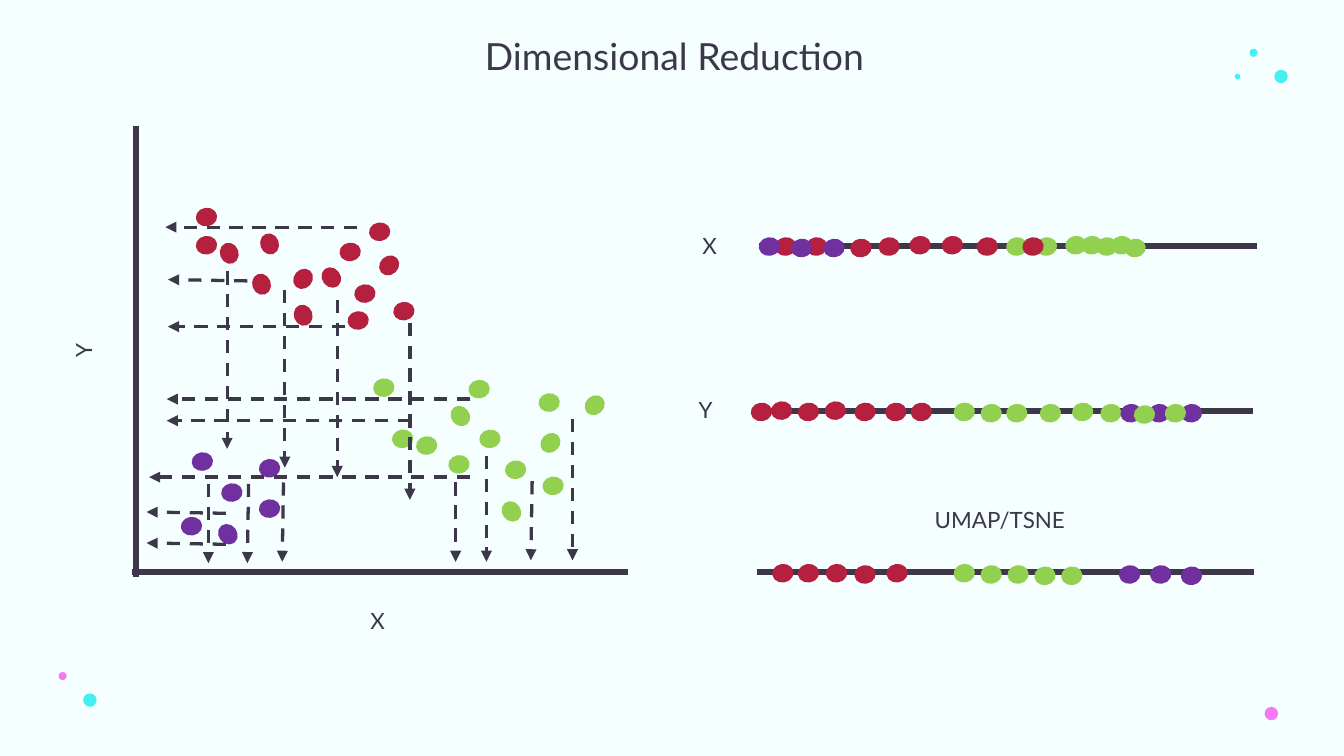
from dataclasses import dataclass

from lxml import etree
from pptx import Presentation
from pptx.dml.color import RGBColor
from pptx.enum.dml import MSO_LINE_DASH_STYLE as Dash
from pptx.enum.shapes import MSO_CONNECTOR, MSO_SHAPE
from pptx.enum.text import MSO_ANCHOR, MSO_AUTO_SIZE, PP_ALIGN
from pptx.oxml.ns import qn
from pptx.util import Pt


@dataclass(frozen=True)
class Theme:
    background: str = "F5FFFF"
    ink: str = "3C384A"
    red: str = "B5203F"
    green: str = "92D050"
    purple: str = "7030A0"
    cyan: str = "46EFF2"
    pink: str = "F578F8"
    font: str = "Lato"
    title_size: float = 20
    label_size: float = 12
    axis_width: float = 3.25
    arrow_width: float = 1.75
    dot_width: float = 7.9
    dot_height: float = 9.4
    dot_outline: float = 2
    dot_tilt: float = 82


THEME = Theme()

# Decoration: centre x, centre y, diameter, colour
CONFETTI = [
    (48.2, 375.1, 7.2, THEME.cyan), (33.6, 362.2, 4.3, THEME.pink),
    (681.1, 382.3, 7.2, THEME.pink), (686.3, 41, 7.2, THEME.cyan),
    (671.6, 28.3, 4.3, THEME.cyan), (663, 41, 2.9, THEME.cyan),
]

# Clusters: centre x, centre y from the top of the Y axis, optional tilt
CLUSTERS = {
    THEME.purple: [
        (71.7, 183.2), (35.7, 179.6), (71.7, 204.8), (51.5, 196.2),
        (49.4, 218.5, 143), (29.9, 214.2),
    ],
    THEME.red: [
        (50.1, 68, 340.1), (71.7, 63, 340.1), (67.4, 84.6, 340.1),
        (89.7, 81.7, 41.1), (89.7, 101.2, 340.1), (130.7, 56.5),
        (37.9, 48.6), (114.9, 67.3), (37.9, 63.7), (135.8, 74.5, 227.5),
        (143.7, 99, 261.6), (122.8, 89.6, 261.6), (119.2, 104, 261.6),
        (104.8, 81, 322.6),
    ],
    THEME.green: [
        (221.5, 148), (143, 167.4), (223.6, 192.6), (203.5, 184),
        (201.3, 206.3, 143), (132.9, 140), (222.2, 169.6, 227.5),
        (245.9, 149.4, 227.5), (155.9, 171, 261.6), (189.8, 167.4, 261.6),
        (173.2, 181.1, 261.6), (173.9, 155.2, 322.6), (184, 140.8, 261.6),
    ],
}

# Projections: start x, start y, end x, end y
ONTO_X = [
    (49, 77.7, 49, 172.8), (79.9, 87.8, 79.9, 182.9),
    (108, 92.9, 108, 187.9), (146.9, 105.1, 146.9, 200.1),
    (79.2, 190.8, 78.5, 233.3), (60.5, 191.5, 59.8, 234),
    (38.9, 191.5, 38.9, 234), (171.4, 190.8, 171.4, 233.3),
    (212.4, 190.1, 211.7, 232.5), (187.9, 176.4, 187.9, 233.3),
    (234, 156.9, 234, 232.5),
]
ONTO_Y = [
    (112.3, 107.3, 17.3, 107.3), (179.3, 146.1, 16.6, 146.1),
    (147.6, 157.7, 16.6, 157.7), (59.8, 82.8, 17.3, 82.1),
    (118.8, 54, 15.9, 54), (48.3, 223.9, 5.8, 223.2),
    (48.3, 207.3, 5.8, 206.6), (179.3, 187.9, 7.2, 187.9),
]

# Number lines: runs of (colour, dots), a dot being its distance along and below
X_RUNS = [
    (THEME.red, [(14.1, .3), (30.6, .3), (86.1, -.4), (103.4, -.4), (122.1, .3)]),
    (THEME.green, [(137.9, .3), (153.8, .3), (169.6, -.4), (186.2, .3), (201.3, 1.1)]),
    (THEME.purple, [(5.4, .3), (22.7, 1.1), (40, 1.1)]),
    (THEME.red, [(146.6, .3), (69.5, .3), (54.4, 1.1)]),
    (THEME.green, [(178.2, -.4), (194.1, -.4)]),
]
Y_RUNS = [
    (THEME.red, [(13.3, -.3), (27.7, .4), (42.1, -.3), (58, .4), (74.5, .4)]),
    (THEME.green, [(111.2, .4), (125.6, 1.1), (139.3, 1.1), (157.3, 1.1), (189.7, 1.1)]),
    (THEME.purple, [(200.5, 1.1), (215.6, 1.1), (232.9, 1.1)]),
    (THEME.green, [(207.7, 1.8), (174.6, .4), (224.3, 1.1)]),
    (THEME.red, [(88.2, .4), (2.5, .4)]),
]
UMAP_RUNS = [
    (THEME.red, [(14, .4), (27.7, .4), (42.8, .4), (58, 1.1), (75.2, .4)]),
    (THEME.green, [(111.2, .4), (125.6, 1.1), (140, 1.1), (154.4, 1.8), (168.8, 1.8)]),
    (THEME.purple, [(199.8, 1.1), (216.4, 1.1), (232.9, 1.8)]),
]


def add_ellipse(slide, x, y, width, height, color):
    """Draw a plain ellipse centred on x, y."""
    ellipse = slide.shapes.add_shape(
        MSO_SHAPE.OVAL, Pt(x - width / 2), Pt(y - height / 2), Pt(width), Pt(height))
    ellipse.shadow.inherit = False
    ellipse.fill.solid()
    ellipse.fill.fore_color.rgb = RGBColor.from_string(color)
    ellipse.line.fill.background()
    return ellipse


def add_dot(slide, x, y, color, tilt=THEME.dot_tilt):
    dot = add_ellipse(slide, x, y, THEME.dot_width, THEME.dot_height, color)
    dot.line.color.rgb = RGBColor.from_string(color)
    dot.line.width = Pt(THEME.dot_outline)
    dot.rotation = tilt


def add_line(slide, x1, y1, x2, y2, width=THEME.axis_width):
    line = slide.shapes.add_connector(
        MSO_CONNECTOR.STRAIGHT, Pt(x1), Pt(y1), Pt(x2), Pt(y2))
    line.line.color.rgb = RGBColor.from_string(THEME.ink)
    line.line.width = Pt(width)
    etree.SubElement(line._element.spPr, qn("a:effectLst"))
    return line


def add_arrow(slide, x1, y1, x2, y2):
    arrow = add_line(slide, x1, y1, x2, y2, THEME.arrow_width)
    arrow.line.dash_style = Dash.DASH
    etree.SubElement(arrow.line._get_or_add_ln(), qn("a:tailEnd"), type="triangle")


def add_label(slide, text, x, y, width=90.7, height=21.6, size=THEME.label_size, turn=0):
    """Write one line of text centred on x, y."""
    label = slide.shapes.add_textbox(
        Pt(x - width / 2), Pt(y - height / 2), Pt(width), Pt(height))
    label.rotation = turn
    frame = label.text_frame
    frame.word_wrap = True
    frame.auto_size = MSO_AUTO_SIZE.SHAPE_TO_FIT_TEXT
    frame.vertical_anchor = MSO_ANCHOR.TOP
    paragraph = frame.paragraphs[0]
    paragraph.alignment = PP_ALIGN.CENTER
    run = paragraph.add_run()
    run.text = text
    run.font.name = THEME.font
    run.font.size = Pt(size)
    run.font.color.rgb = RGBColor.from_string(THEME.ink)


def add_scatter(slide, left, top, width, height):
    """Draw the two axes, the clusters and their projections."""
    bottom = top + height
    add_line(slide, left, top, left, bottom + 2.2)
    add_line(slide, left - 2.2, bottom, left + width, bottom)
    for color, dots in CLUSTERS.items():
        for x, y, *tilt in dots:
            add_dot(slide, left + x, top + y, color, *tilt)
    for x1, y1, x2, y2 in ONTO_X + ONTO_Y:
        add_arrow(slide, left + x1, top + y1, left + x2, top + y2)
    add_label(slide, "X", left + 129.6, bottom + 25.9)
    add_label(slide, "Y", left - 28, top + 120.2, turn=270)


def add_number_line(slide, left, y, width, runs, name, name_dx, name_dy):
    add_line(slide, left, y, left + width, y)
    for color, dots in runs:
        for along, below in dots:
            add_dot(slide, left + along, y + below, color)
    add_label(slide, name, left + name_dx, y + name_dy)


def main():
    deck = Presentation()
    deck.slide_width, deck.slide_height = Pt(720), Pt(405)
    slide = deck.slides.add_slide(deck.slide_layouts[6])
    slide.background.fill.solid()
    slide.background.fill.fore_color.rgb = RGBColor.from_string(THEME.background)

    for x, y, diameter, color in CONFETTI:
        add_ellipse(slide, x, y, diameter, diameter, color)
    add_label(slide, "Dimensional Reduction", 361.4, 30.2, 614.9, 31.7, THEME.title_size)
    add_scatter(slide, 72.7, 67.7, 263.5, 239)
    add_number_line(slide, 406.8, 131.8, 266.4, X_RUNS, "X", -26.6, 0)
    add_number_line(slide, 405.4, 220.3, 265.7, Y_RUNS, "Y", -27.4, -.7)
    add_number_line(slide, 405.4, 306.7, 266.4, UMAP_RUNS, "UMAP/TSNE", 130.3, -28.1)
    deck.save("out.pptx")


if __name__ == "__main__":
    main()
